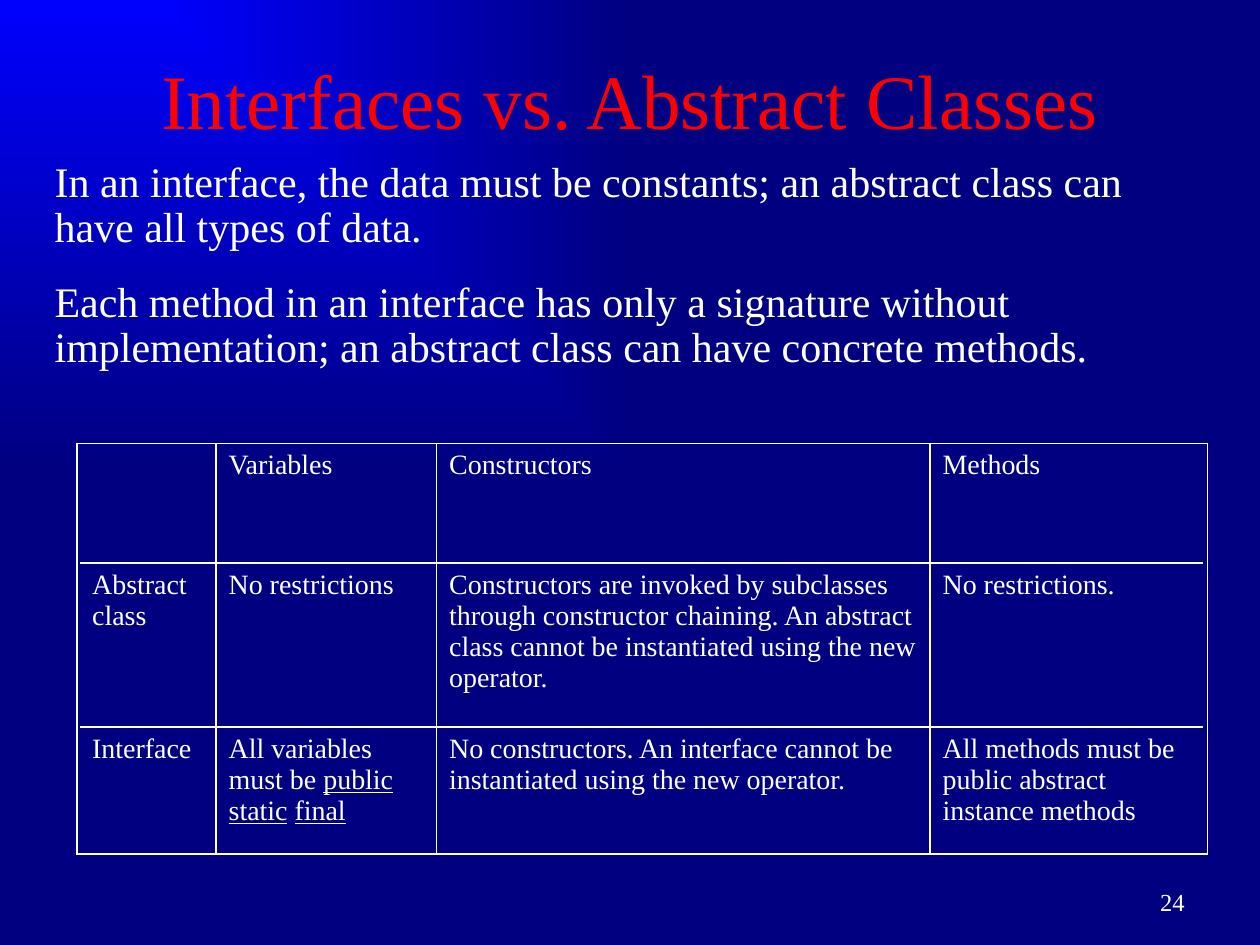
import pptx
import pptx.dml.color
import pptx.enum.text
import pptx.oxml.ns
import pptx.util
from dataclasses import dataclass
from lxml import etree

Pt = pptx.util.Pt
qn = pptx.oxml.ns.qn
Align = pptx.enum.text.PP_ALIGN
Anchor = pptx.enum.text.MSO_ANCHOR


@dataclass(frozen=True)
class Theme:
    font: str = "Times New Roman"
    heading: str = "FF0000"
    ink: str = "FFFFFF"
    glow: str = "0000FF"
    ground: str = "000080"
    title_size: float = 44
    body_size: float = 24
    table_size: float = 16
    number_size: float = 14
    rule: float = 1


THEME = Theme()

TITLE = "Interfaces vs. Abstract Classes"
POINTS = [
    "In an interface, the data must be constants; an abstract class can have all types of data.",
    "Each method in an interface has only a signature without implementation; "
    "an abstract class can have concrete methods.",
]
# A cell is a string, or a list of (text, underlined) runs.
COMPARISON = [
    ["", "Variables", "Constructors", "Methods"],
    ["Abstract class", "No restrictions",
     "Constructors are invoked by subclasses through constructor chaining. "
     "An abstract class cannot be instantiated using the new operator.",
     "No restrictions."],
    ["Interface",
     [("All variables must be ", False), ("public", True), (" ", False),
      ("static", True), (" ", False), ("final", True)],
     "No constructors. An interface cannot be instantiated using the new operator.",
     "All methods must be public abstract instance methods"],
]
COLUMN_WIDTHS = [78, 126, 282, 156]
ROW_HEIGHTS = [68.4, 93.6, 72]


def rgb(code):
    return pptx.dml.color.RGBColor.from_string(code)


def add_run(paragraph, text, size, color=THEME.ink, underline=None):
    run = paragraph.add_run()
    run.text = text
    run.font.name = THEME.font
    run.font.size = Pt(size)
    run.font.color.rgb = rgb(color)
    run.font.underline = underline


def place(shape, box):
    shape.left, shape.top, shape.width, shape.height = map(Pt, box)


def paint_background(slide):
    """Gradient that spreads from the top left corner."""
    fill = slide.background.fill
    fill.gradient()
    for stop, color in zip(fill.gradient_stops, (THEME.glow, THEME.ground)):
        stop.color.rgb = rgb(color)
    gradient = slide.element.find(".//" + qn("a:gradFill"))
    gradient.remove(gradient.find(qn("a:lin")))
    spread = etree.SubElement(gradient, qn("a:path"), {"path": "rect"})
    etree.SubElement(spread, qn("a:fillToRect"), {"r": "100000", "b": "100000"})


def fill_title(title, box):
    place(title, box)
    frame = title.text_frame
    frame.auto_size = pptx.enum.text.MSO_AUTO_SIZE.NONE
    frame.vertical_anchor = Anchor.MIDDLE
    heading = frame.paragraphs[0]
    heading.alignment = Align.CENTER
    add_run(heading, TITLE, THEME.title_size, THEME.heading)


def fill_points(body, box):
    place(body, box)
    frame = body.text_frame
    frame.auto_size = pptx.enum.text.MSO_AUTO_SIZE.NONE
    for index, text in enumerate(POINTS):
        point = frame.add_paragraph() if index else frame.paragraphs[0]
        point.level = 1
        point.line_spacing = 0.9
        point.space_after = Pt(12)
        properties = point._p.get_or_add_pPr()
        properties.set("marL", str(Pt(9)))
        properties.set("indent", "0")
        etree.SubElement(properties, qn("a:buNone"))
        add_run(point, text, THEME.body_size)


def rule_cell(cell, ruled_sides):
    """Draw the ruled sides of a cell and leave its other sides and fill empty."""
    properties = cell._tc.get_or_add_tcPr()
    for side in "LRTB":
        line = etree.SubElement(properties, qn("a:ln" + side), {"w": str(Pt(THEME.rule))})
        if side in ruled_sides:
            solid = etree.SubElement(line, qn("a:solidFill"))
            etree.SubElement(solid, qn("a:srgbClr"), {"val": THEME.ink})
        else:
            etree.SubElement(line, qn("a:noFill"))
    cell.fill.background()


def add_plain_table(slide, left, top, widths, heights):
    table = slide.shapes.add_table(
        len(heights), len(widths), Pt(left), Pt(top), Pt(sum(widths)), Pt(sum(heights))).table
    table.first_row = table.horz_banding = False
    for column, width in zip(table.columns, widths):
        column.width = Pt(width)
    for row, height in zip(table.rows, heights):
        row.height = Pt(height)
    return table


def add_comparison(slide, left, top):
    """Table with inner rules only, inside a one-cell frame."""
    table = add_plain_table(slide, left, top, COLUMN_WIDTHS, ROW_HEIGHTS)
    last_row, last_column = len(ROW_HEIGHTS) - 1, len(COLUMN_WIDTHS) - 1
    for r, entries in enumerate(COMPARISON):
        for c, entry in enumerate(entries):
            cell = table.cell(r, c)
            inner = {"L": c > 0, "R": c < last_column, "T": r > 0, "B": r < last_row}
            rule_cell(cell, [side for side, ruled in inner.items() if ruled])
            runs = [(entry, False)] if isinstance(entry, str) else entry
            for text, underlined in runs:
                if text:
                    add_run(cell.text_frame.paragraphs[0], text, THEME.table_size,
                            underline=underlined)
    border = add_plain_table(slide, left - 1.5, top, [sum(COLUMN_WIDTHS) + 4],
                             [sum(ROW_HEIGHTS) + 0.7])
    rule_cell(border.cell(0, 0), "LRTB")


def add_slide_number(slide, box):
    frame = slide.shapes.add_textbox(*map(Pt, box)).text_frame
    frame.word_wrap = True
    frame.vertical_anchor = Anchor.MIDDLE
    number = frame.paragraphs[0]
    number.alignment = Align.RIGHT
    add_run(number, "24", THEME.number_size)


def main():
    deck = pptx.Presentation()
    deck.slide_width, deck.slide_height = Pt(720), Pt(540)
    slide = deck.slides.add_slide(deck.slide_layouts[1])
    paint_background(slide)
    fill_title(slide.shapes.title, (54, 0, 612, 112.5))
    fill_points(slide.placeholders[1], (15, 88.5, 684, 150))
    add_slide_number(slide, (516, 500.5, 168, 29))
    add_comparison(slide, 45.5, 253.4)
    deck.save("out.pptx")


if __name__ == "__main__":
    main()
